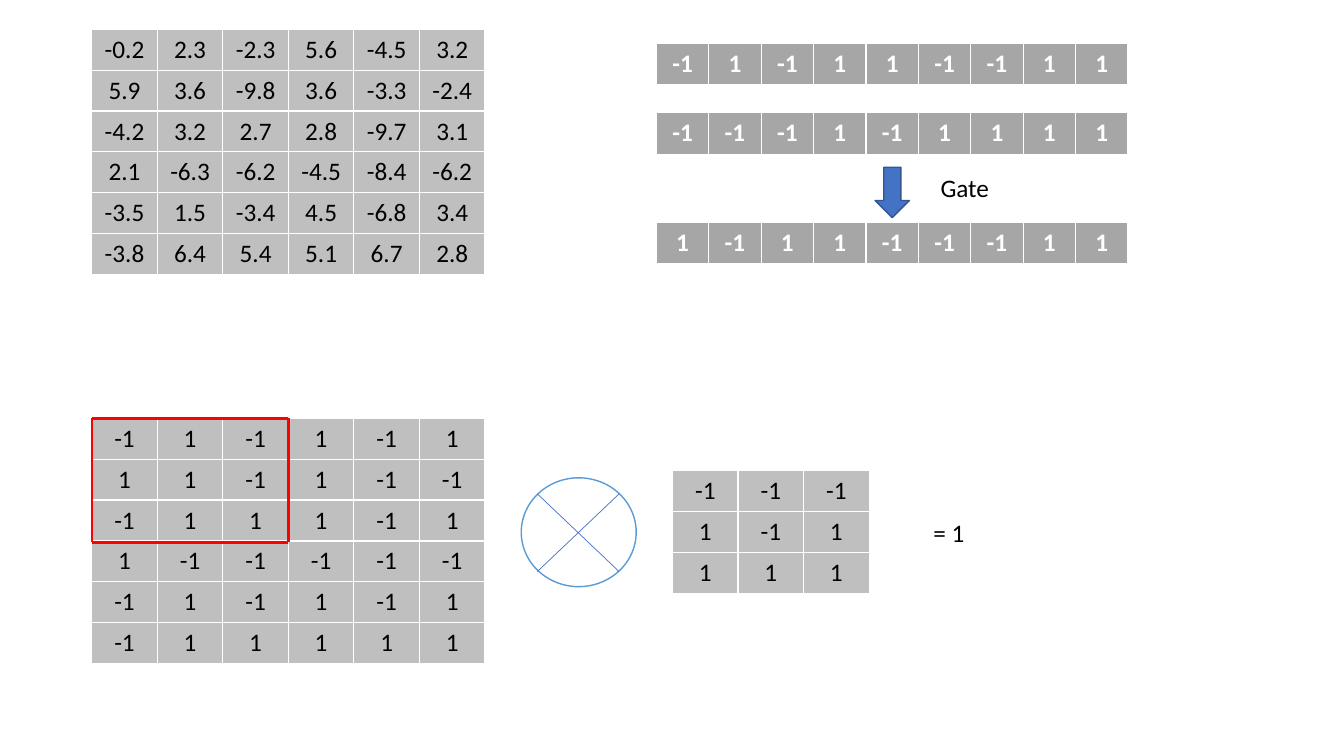
"""Build the slide on binary convolution by gate."""
from lxml import etree
from pptx import Presentation
from pptx.dml.color import RGBColor
from pptx.enum.shapes import MSO_CONNECTOR, MSO_SHAPE
from pptx.enum.text import MSO_AUTO_SIZE, PP_ALIGN
from pptx.oxml.ns import qn
from pptx.util import Pt

PX = 9144
CENTER = PP_ALIGN.CENTER
LINE = MSO_CONNECTOR.STRAIGHT
OVAL = MSO_SHAPE.OVAL
ARROW = MSO_SHAPE.DOWN_ARROW
GROW = MSO_AUTO_SIZE.SHAPE_TO_FIT_TEXT
FONT = "Calibri"
HEX = {
    "black": "000000", "white": "FFFFFF", "pale": "BFBFBF", "gray": "A6A6A6",
    "blue": "4472C4", "navy": "325491", "sky": "5B9BD5", "red": "FF0000",
}
RGB = {name: RGBColor.from_string(code) for name, code in HEX.items()}


def write(frame, text, color="black", bold=False):
    run = frame.paragraphs[0].add_run()
    run.text = text
    run.font.name = FONT
    run.font.size = Pt(18)
    run.font.bold = bold
    run.font.color.rgb = RGB[color]


def join(start, end, color, width):
    line = slide.shapes.add_connector(LINE, *[n * PX for n in (*start, *end)])
    line.line.color.rgb = RGB[color]
    line.line.width = Pt(width)
    etree.SubElement(line._element.spPr, qn("a:effectLst"))


deck = Presentation()
deck.slide_width, deck.slide_height = 1333 * PX, 750 * PX
slide = deck.slides.add_slide(deck.slide_layouts[6])

signs = [
    "-1 1 -1 1 -1 1",
    "1 1 -1 1 -1 -1",
    "-1 1 1 1 -1 1",
    "1 -1 -1 -1 -1 -1",
    "-1 1 -1 1 -1 1",
    "-1 1 1 1 1 1",
]
reals = [
    "-0.2 2.3 -2.3 5.6 -4.5 3.2",
    "5.9 3.6 -9.8 3.6 -3.3 -2.4",
    "-4.2 3.2 2.7 2.8 -9.7 3.1",
    "2.1 -6.3 -6.2 -4.5 -8.4 -6.2",
    "-3.5 1.5 -3.4 4.5 -6.8 3.4",
    "-3.8 6.4 5.4 5.1 6.7 2.8",
]
kernel = ["-1 -1 -1", "1 -1 1", "1 1 1"]
patch = ["-1 1 -1 1 1 -1 -1 1 1"]
weights = ["-1 -1 -1 1 -1 1 1 1 1"]
result = ["1 -1 1 1 -1 -1 -1 1 1"]

grids = [
    (91, 415, 65, 243, signs),
    (91, 29, 65, 243, reals),
    (667, 467, 65, 122, kernel),
    (651, 43, 52, 41, patch),
    (651, 112, 52, 41, weights),
    (651, 221, 52, 41, result),
]
for left, top, step, high, rows in grids:
    cols = len(rows[0].split())
    flat = len(rows) == 1
    grid = slide.shapes.add_table(
        len(rows), cols, left * PX, top * PX, cols * step * PX, high * PX).table
    for r, row in enumerate(rows):
        for c, value in enumerate(row.split()):
            cell = grid.cell(r, c)
            cell.fill.solid()
            cell.fill.fore_color.rgb = RGB["gray" if flat else "pale"]
            write(cell.text_frame, value, "white" if flat else "black", flat)
            cell.text_frame.paragraphs[0].alignment = CENTER

marks = [
    (OVAL, 517, 474, 114, 108, "white", "sky"),
    (ARROW, 868, 166, 34, 50, "blue", "navy"),
]
for kind, left, top, wide, high, fill, edge in marks:
    mark = slide.shapes.add_shape(
        kind, left * PX, top * PX, wide * PX, high * PX)
    mark.shadow.inherit = False
    mark.fill.solid()
    mark.fill.fore_color.rgb = RGB[fill]
    mark.line.color.rgb = RGB[edge]
    mark.line.width = Pt(1)

join((614, 490), (533, 567), "blue", 0.5)
join((614, 567), (533, 490), "blue", 0.5)

frame = [(91, 415), (286, 415), (286, 538), (91, 538)]
for start, end in zip(frame, frame[1:] + frame[:1]):
    join(start, end, "red", 1.75)

for left, top, wide, text in [(916, 508, 131, "= 1"), (923, 166, 159, "Gate")]:
    label = slide.shapes.add_textbox(left * PX, top * PX, wide * PX, 40 * PX)
    label.text_frame.word_wrap = True
    label.text_frame.auto_size = GROW
    write(label.text_frame, text)

deck.save("out.pptx")
